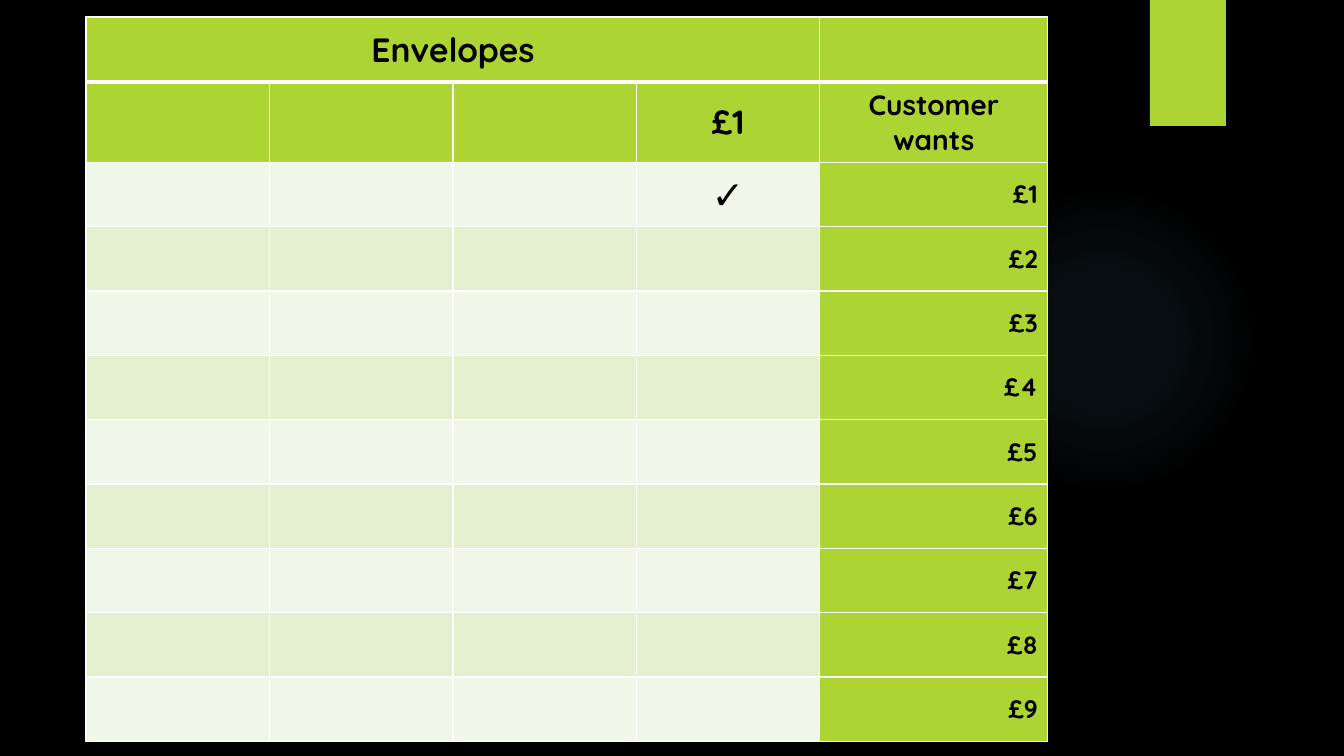
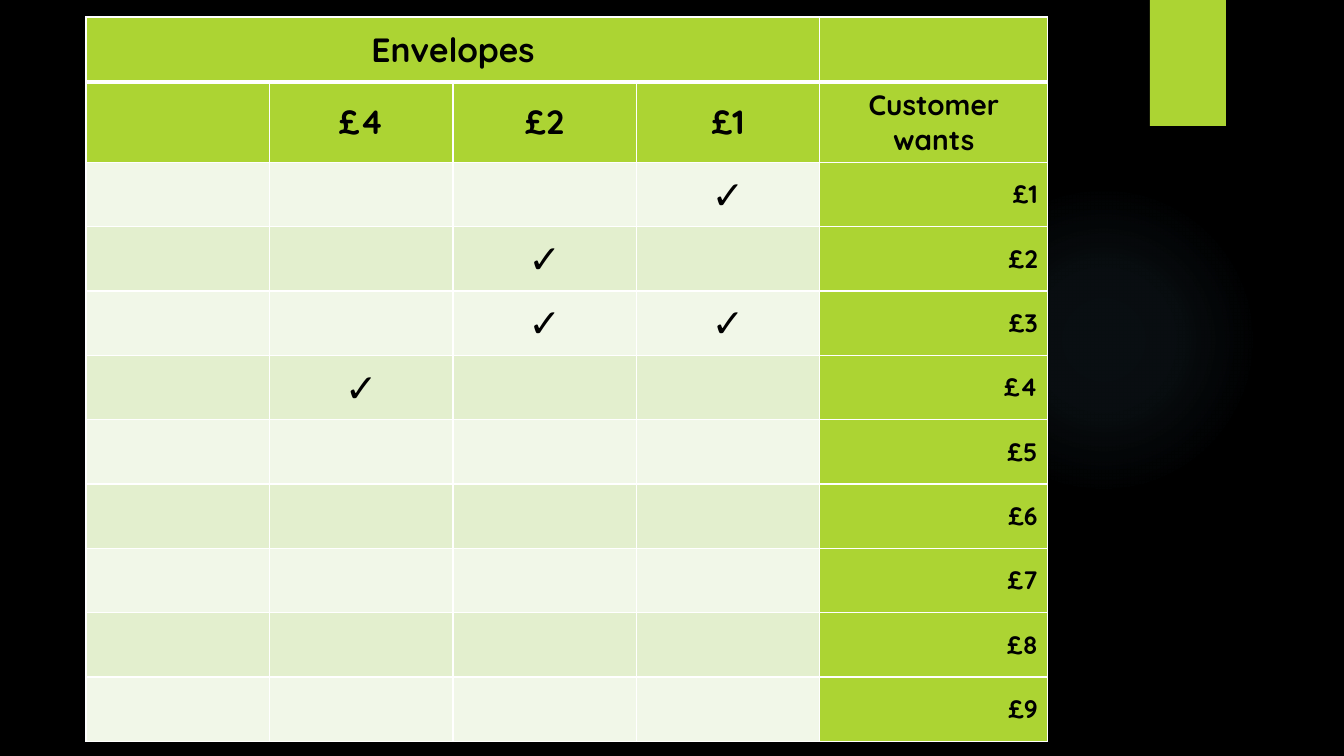
from lxml import etree
from pptx import Presentation
from pptx.dml.color import RGBColor
from pptx.enum.shapes import MSO_SHAPE
from pptx.enum.text import MSO_ANCHOR, PP_ALIGN
from pptx.oxml import parse_xml
from pptx.oxml.ns import nsdecls, qn
from pptx.util import Pt

OVAL, RECT = MSO_SHAPE.OVAL, MSO_SHAPE.RECTANGLE
MIDDLE = MSO_ANCHOR.MIDDLE
CENTER, RIGHT = PP_ALIGN.CENTER, PP_ALIGN.RIGHT

BLACK, WHITE, LIME, GLOW = "000000", "FFFFFF", "ACD433", "7AC4F0"
BANDS = ["F1F7E8", "E3EFCE"]
FONT = "Quicksand"
ENVELOPE_COLS, AMOUNTS = 4, 9
COLS = [734 / ENVELOPE_COLS] * ENVELOPE_COLS + [228]
ROWS = [65, 80] + [579 / AMOUNTS] * AMOUNTS


def px(n):
    return round(n * 12192000 / 1344)


def rgb(code):
    return RGBColor.from_string(code)


prs = Presentation()
prs.slide_width, prs.slide_height = px(1344), px(756)
master = prs.slide_master
blank = prs.slide_layouts[6]

# Envelopes prepared so far and the largest amount ticked off, per slide
steps = [(1, 1), (3, 4)]
slides = [prs.slides.add_slide(blank) for step in steps]

# Shared background, glow and tab, moved to the master
bg = master.background.fill
bg.solid()
bg.fore_color.rgb = rgb(BLACK)

shapes = slides[0].shapes
glow = shapes.add_shape(OVAL, px(949), px(185), px(310), px(310))
tab = shapes.add_shape(RECT, px(1150), 0, px(76), px(126))
for number, sp in enumerate([glow, tab], 101):
    sp.shadow.inherit = False
    sp.line.fill.background()
    sp.element.xpath(".//p:cNvPr")[0].set("id", str(number))
    master.shapes.element.append(sp.element)

tab.fill.solid()
tab.fill.fore_color.rgb = rgb(LIME)

stops = "".join(
    f'<a:gs pos="{pos}000"><a:srgbClr val="{GLOW}"><a:alpha val="{alpha}000"/></a:srgbClr></a:gs>'
    for pos, alpha in [(0, 7), (36, 6), (69, 0)])
glow.fill.background()
spPr = glow.element.spPr
spPr.replace(spPr.find(qn("a:noFill")), parse_xml(
    f'<a:gradFill {nsdecls("a")}><a:gsLst>{stops}</a:gsLst><a:path path="circle">'
    '<a:fillToRect l="50000" t="50000" r="50000" b="50000"/></a:path></a:gradFill>'))

for s, (envelopes, limit) in zip(slides, steps):
    # Text of each cell: (text, size, bold, alignment)
    texts = {(0, 0): ("Envelopes", 24, True, CENTER),
             (1, ENVELOPE_COLS): ("Customer wants", 20, True, CENTER)}
    for power in range(envelopes):
        col, value = ENVELOPE_COLS - 1 - power, 2 ** power
        texts[1, col] = (f"£{value}", 24, True, CENTER)
        for amount in range(1, limit + 1):
            if amount & value:
                texts[amount + 1, col] = ("✓", 28, False, CENTER)
    for amount in range(1, AMOUNTS + 1):
        texts[amount + 1, ENVELOPE_COLS] = (f"£{amount}", 18, True, RIGHT)

    # Table grid
    table = s.shapes.add_table(len(ROWS), len(COLS), px(86), px(17),
                               px(sum(COLS)), px(sum(ROWS))).table
    table.first_row = table.horz_banding = False
    for column, width in zip(table.columns, COLS):
        column.width = px(width)
    for row, height in zip(table.rows, ROWS):
        row.height = px(height)
    table.cell(0, 0).merge(table.cell(0, ENVELOPE_COLS - 1))

    for i in range(len(ROWS)):
        for j in range(len(COLS)):
            # Fill: lime headings, banded body
            cell = table.cell(i, j)
            heading = i < 2 or j == ENVELOPE_COLS
            cell.fill.solid()
            cell.fill.fore_color.rgb = rgb(LIME if heading else BANDS[i % 2])
            cell.vertical_anchor = MIDDLE

            # White borders, thicker under the top row
            tcPr = cell._tc.get_or_add_tcPr()
            for k, side in enumerate("LRTB"):
                thick = (i, side) in [(0, "B"), (1, "T")]
                ln = etree.Element(qn(f"a:ln{side}"), w=str(Pt(3 if thick else 1)))
                fill = etree.SubElement(ln, qn("a:solidFill"))
                etree.SubElement(fill, qn("a:srgbClr"), val=WHITE)
                tcPr.insert(k, ln)

            if (i, j) in texts:
                text, size, bold, align = texts[i, j]
                p = cell.text_frame.paragraphs[0]
                p.alignment = align
                r = p.add_run()
                r.text = text
                r.font.name, r.font.size, r.font.bold = FONT, Pt(size), bold
                r.font.color.rgb = rgb(BLACK)

prs.save("out.pptx")
